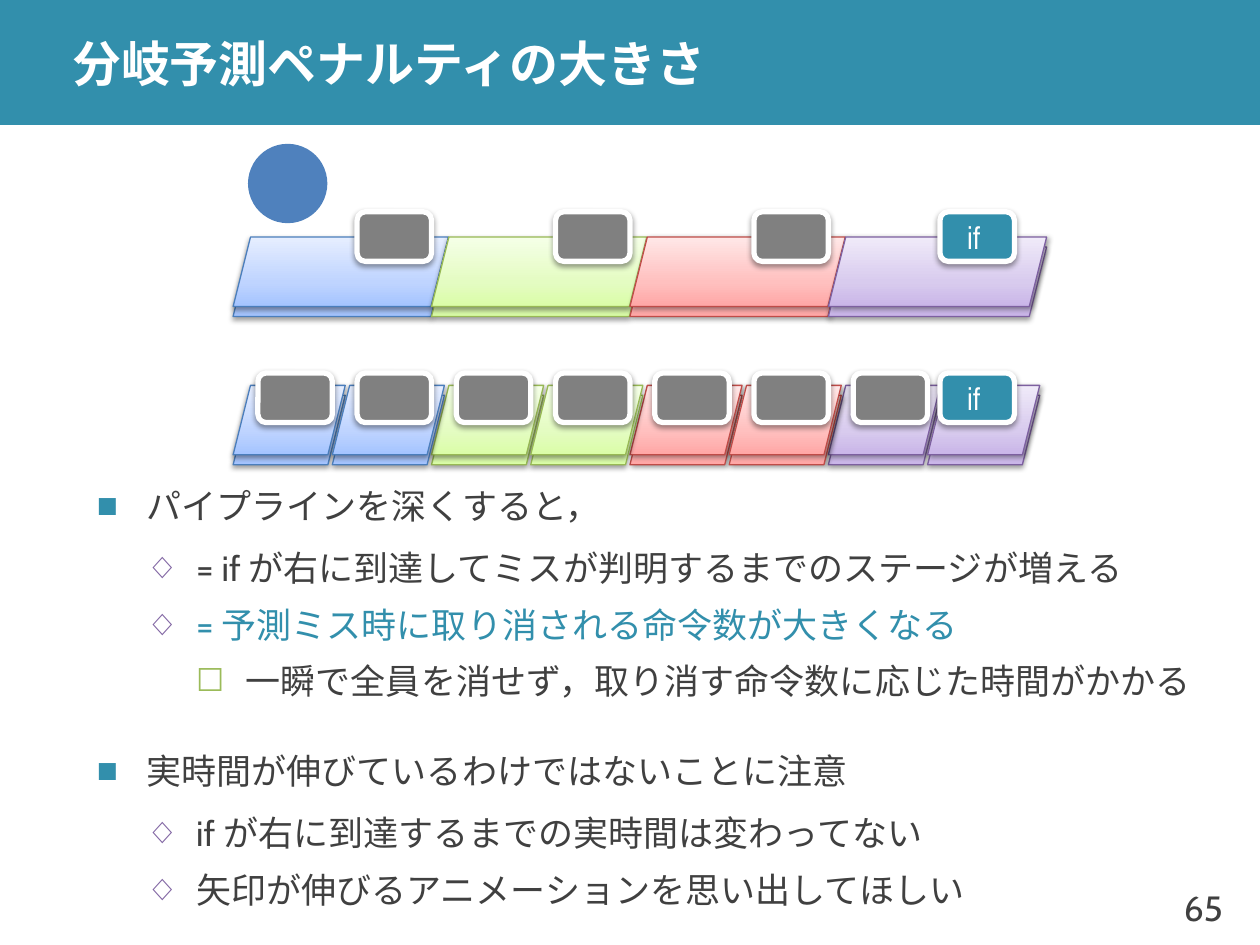
"""Build the slide on the size of the branch prediction penalty."""
from dataclasses import dataclass

from lxml.etree import SubElement as Sub
from pptx import Presentation as Deck
from pptx.dml.color import RGBColor as Rgb
from pptx.enum.shapes import MSO_SHAPE as Form
from pptx.enum.text import MSO_ANCHOR as Anchor, MSO_AUTO_SIZE as Fit, PP_ALIGN as Align
from pptx.oxml import parse_xml as to_xml
from pptx.oxml.ns import nsdecls as ns, qn
from pptx.util import Cm, Pt


@dataclass(frozen=True)
class Theme:
    teal: str = "328FAC"
    ink: str = "404040"
    white: str = "FFFFFF"
    gray: str = "808080"
    blue: str = "4F81BD"
    font: str = "Cabin"
    slim: str = "Arial Narrow"
    wide: str = "Noto Sans CJK JP"
    head: int = 28
    text: int = 20
    tag: int = 18
    stages: tuple = (
        (("A4C4FF", "BFD4FF", "E6EEFF"), "4B7EBC", (90, 90)),
        (("DAFDA7", "E4FCC2", "F5FFE7"), "98B955", (90, 90)),
        (("FFA6A5", "FFC0BF", "FFE7E7"), "BF4C48", (45, 45)),
        (("C9B5E8", "D8CBEE", "F0EAF9"), "7D60A0", (90, 45)),
    )
    levels: tuple = (
        ("■", "328FAC", 100, 24, 6),
        ("◇", "8064A2", 90, 3, 3),
        ("☐", "9BBB59", 90, 3, 1),
    )


LOOK = Theme()
ITEMS = (
    (0, "パイプラインを深くすると，", LOOK.ink),
    (1, "= if が右に到達してミスが判明するまでのステージが増える", LOOK.ink),
    (1, "= 予測ミス時に取り消される命令数が大きくなる", LOOK.teal),
    (2, "一瞬で全員を消せず，取り消す命令数に応じた時間がかかる", LOOK.ink),
    (0, "実時間が伸びているわけではないことに注意", LOOK.ink),
    (1, "if が右に到達するまでの実時間は変わってない", LOOK.ink),
    (1, "矢印が伸びるアニメーションを思い出してほしい", LOOK.ink),
)


def apply(obj, vals):
    """Set each named value on an object."""
    for key, val in vals.items():
        setattr(obj, key, val)


def box(left, top, width, height):
    """Return a place in centimetres as shape settings."""
    keys = ("left", "top", "width", "height")
    return dict(zip(keys, map(Cm, (left, top, width, height))))


def write(para, text, size, color, font=LOOK.font, bold=False):
    """Add one run in the given type."""
    run = para.add_run()
    run.text = text
    apply(run.font, {"size": Pt(size), "bold": bold, "name": font})
    run.font.color.rgb = Rgb.from_string(color)
    Sub(run.font._element, qn("a:ea"), typeface=LOOK.wide)


def shade(shape, angle):
    """Give a shape a soft outer shadow."""
    shape.shadow.inherit = False
    glow = shape.element.spPr.find(qn("a:effectLst"))
    glow.append(to_xml(
        f'<a:outerShdw {ns("a")} blurRad="40000" dist="20000" dir="{angle * 60000}" '
        'rotWithShape="0"><a:srgbClr val="000000"><a:alpha val="38000"/>'
        '</a:srgbClr></a:outerShdw>'))


def blend(shape, colors):
    """Fill a shape with a gradient that rises from its foot."""
    shape.fill.background()
    props = shape.element.spPr
    stops = "".join(
        f'<a:gs pos="{pos}000"><a:srgbClr val="{color}"/></a:gs>'
        for pos, color in zip((0, 35, 100), colors))
    props.replace(props.find(qn("a:noFill")), to_xml(
        f'<a:gradFill {ns("a")} rotWithShape="1"><a:gsLst>{stops}</a:gsLst>'
        '<a:lin ang="16200000" scaled="0"/></a:gradFill>'))


def edge(shape, color, width):
    """Draw the outline of a shape."""
    shape.line.color.rgb = Rgb.from_string(color)
    shape.line.width = Pt(width)


def plain(slide, form, place, color):
    """Add a flat shape of one colour."""
    shape = slide.shapes.add_shape(form, **place)
    shape.fill.solid()
    shape.fill.fore_color.rgb = Rgb.from_string(color)
    shape.line.fill.background()
    shape.shadow.inherit = False
    return shape


def stage(slide, left, top, width, kind):
    """Add a pipeline stage as two stacked plates."""
    colors, rim, angles = LOOK.stages[kind]
    group = slide.shapes.add_group_shape()
    for drop, angle in zip((0.2, 0), angles):
        place = box(left, top + drop, width, 1.4)
        plate = group.shapes.add_shape(Form.PARALLELOGRAM, **place)
        blend(plate, colors)
        edge(plate, rim, 0.75)
        shade(plate, angle)


def chip(slide, left, top, text=""):
    """Add an instruction that sits on a stage."""
    color = LOOK.teal if text else LOOK.gray
    shape = plain(slide, Form.ROUNDED_RECTANGLE, box(left, top, 1.5, 1), color)
    edge(shape, LOOK.white, 3)
    shade(shape, 90)
    if text:
        frame = shape.text_frame
        apply(frame, {"word_wrap": False, "vertical_anchor": Anchor.MIDDLE})
        frame.paragraphs[0].alignment = Align.CENTER
        write(frame.paragraphs[0], text, LOOK.tag, LOOK.white, LOOK.slim)


def header(slide):
    """Place the title on a full-width band."""
    title = slide.shapes.title
    apply(title, box(1.2, 0, 24.2, 2.52))
    apply(title.text_frame, {"vertical_anchor": Anchor.MIDDLE, "auto_size": Fit.NONE,
                             "margin_top": 0, "margin_bottom": 0})
    para = title.text_frame.paragraphs[0]
    para.alignment = Align.LEFT
    write(para, "分岐予測ペナルティの大きさ", LOOK.head, LOOK.white, bold=True)
    band = plain(slide, Form.RECTANGLE, box(0, 0, 25.4, 2.52), LOOK.teal)
    title.element.addprevious(band.element)


def outline(slide):
    """Fill the body with the bulleted points."""
    body = slide.placeholders[1]
    apply(body, box(1.7, 10.52, 23, 7))
    frame = body.text_frame
    apply(frame, {"vertical_anchor": Anchor.MIDDLE, "auto_size": Fit.NONE})
    for num, (level, text, color) in enumerate(ITEMS):
        para = frame.add_paragraph() if num else frame.paragraphs[0]
        mark, tint, scale, above, below = LOOK.levels[level]
        props = para._p.get_or_add_pPr()
        for key, val in {"marL": level + 1, "indent": -1}.items():
            props.set(key, str(int(Cm(val))))
        Sub(Sub(props, qn("a:buClr")), qn("a:srgbClr"), val=tint)
        Sub(props, qn("a:buSzPct"), val=f"{scale}000")
        Sub(props, qn("a:buChar"), char=mark)
        apply(para, {"level": level, "line_spacing": 1.1, "space_after": Pt(below),
                     "space_before": Pt(above if num else 0)})
        write(para, text, LOOK.text, color)


def folio(slide):
    """Add the page number."""
    frame = slide.shapes.add_textbox(**box(23.2, 17.53, 1.7, 1.52)).text_frame
    apply(frame, {"word_wrap": True, "vertical_anchor": Anchor.MIDDLE})
    frame.paragraphs[0].alignment = Align.RIGHT
    write(frame.paragraphs[0], "65", LOOK.text, LOOK.ink)


def main():
    """Build and save the slide."""
    deck = Deck()
    apply(deck, {"slide_width": Cm(25.4), "slide_height": Cm(19.05)})
    slide = deck.slides.add_slide(deck.slide_layouts[1])
    header(slide)
    outline(slide)
    folio(slide)
    for kind in range(4):
        stage(slide, 4.7 + 4 * kind, 4.78, 4.4 if kind == 3 else 4.34, kind)
    plain(slide, Form.OVAL, box(5, 2.9, 1.6, 1.6), LOOK.blue)
    for half in range(2):
        for kind in range(4):
            stage(slide, 4.7 + 4 * kind + 2 * half, 7.77, 2.26, kind)
    for top, first, step, count in ((4.27, 7.2, 4, 3), (7.52, 5.2, 2, 7)):
        for num in range(count):
            chip(slide, first + step * num, top)
        chip(slide, 18.95, top, "if ")
    deck.save("out.pptx")


if __name__ == "__main__":
    main()
